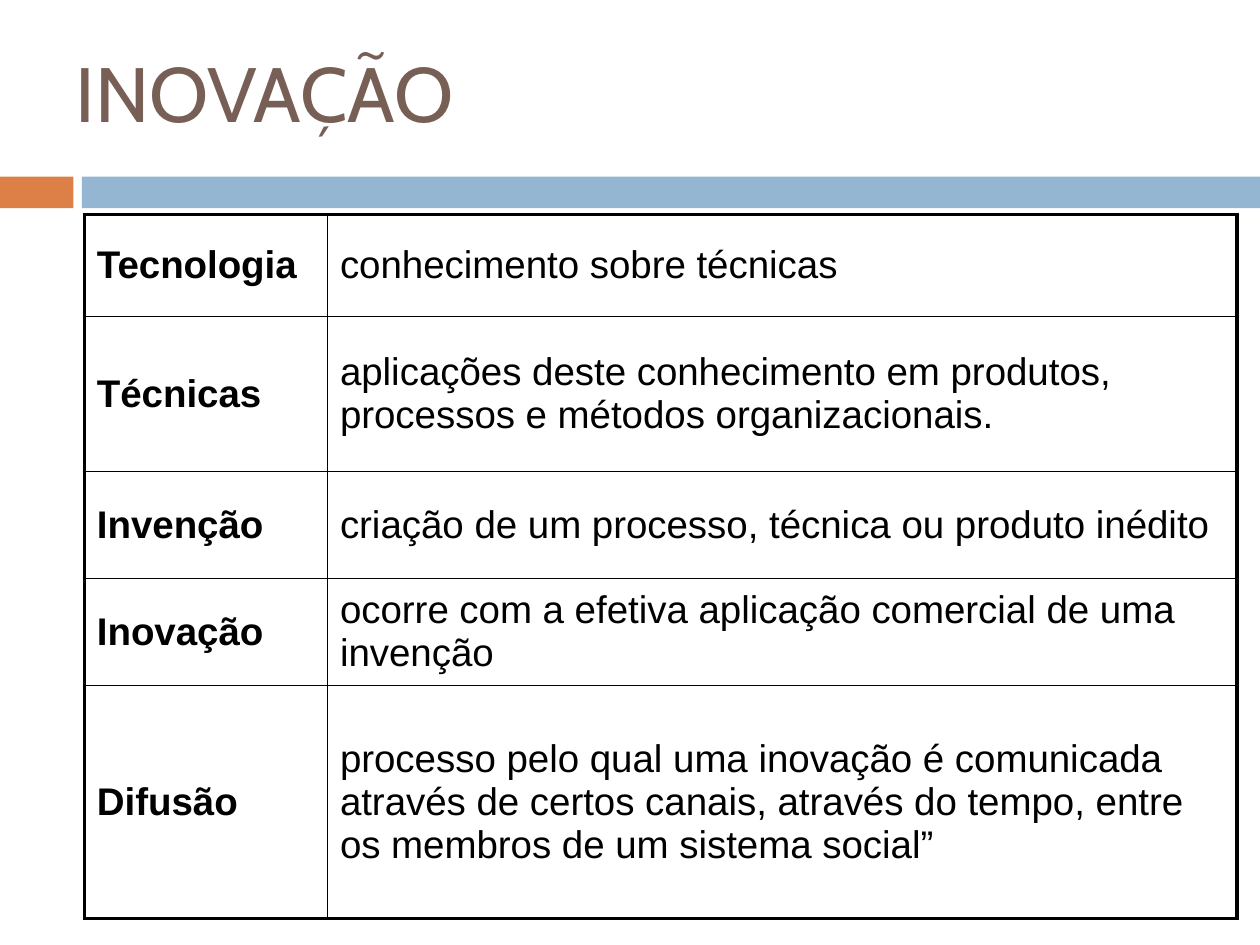
from lxml.etree import SubElement
from pptx import Presentation
from pptx.dml.color import RGBColor
from pptx.enum.shapes import MSO_SHAPE as Shape
from pptx.enum.text import MSO_ANCHOR as Anchor, PP_ALIGN as Align
from pptx.oxml.ns import qn
from pptx.util import Cm, Pt

COLORS = {"title": "775F55", "accent": "DD8047", "band": "94B6D2", "ink": "000000"}
THICK, THIN = 2.25, 1
COLUMN_WIDTHS = (4.9, 18.34)
DEFINITIONS = [  # term, meaning, row height in cm
    ("Tecnologia", "conhecimento sobre técnicas", 2.06),
    ("Técnicas", "aplicações deste conhecimento em produtos, "
                 "processos e métodos organizacionais.", 3.12),
    ("Invenção", "criação de um processo, técnica ou produto inédito", 2.16),
    ("Inovação", "ocorre com a efetiva aplicação comercial de uma invenção", 2.16),
    ("Difusão", "processo pelo qual uma inovação é comunicada através de certos "
                "canais, através do tempo, entre os membros de um sistema social”", 4.7),
]


def rgb(name):
    return RGBColor.from_string(COLORS[name])


def write(frame, text, *, font="Arial", size=22, color="ink", bold=False):
    frame.word_wrap = True
    frame.vertical_anchor = Anchor.MIDDLE
    paragraph = frame.paragraphs[0]
    paragraph.alignment = Align.LEFT
    run = paragraph.add_run()
    run.text = text
    run.font.name = font
    run.font.size = Pt(size)
    run.font.bold = bold
    run.font.color.rgb = rgb(color)


def add_bar(slide, left, width, color):
    bar = slide.shapes.add_shape(Shape.RECTANGLE, Cm(left), Cm(3.56), Cm(width), Cm(0.64))
    bar.shadow.inherit = False
    bar.fill.solid()
    bar.fill.fore_color.rgb = rgb(color)
    bar.line.fill.background()


def add_title(slide, text):
    title = slide.shapes.title
    title.left, title.top, title.width, title.height = Cm(1.27), Cm(0.76), Cm(22.86), Cm(2.18)
    write(title.text_frame, text, font="Cabin", size=44, color="title")


def set_borders(cell, **widths):
    # Borders must come before the fill in the cell properties
    properties = cell._tc.get_or_add_tcPr()
    for side, width in widths.items():
        line = SubElement(properties, qn(f"a:ln{side}"), w=str(Pt(width)))
        fill = SubElement(line, qn("a:solidFill"))
        SubElement(fill, qn("a:srgbClr"), val=COLORS["ink"])


def add_definitions(slide):
    rows, columns = len(DEFINITIONS), len(COLUMN_WIDTHS)
    height = sum(row_height for _, _, row_height in DEFINITIONS)
    table = slide.shapes.add_table(rows, columns, Cm(1.7), Cm(4.32),
                                   Cm(sum(COLUMN_WIDTHS)), Cm(height)).table
    table.first_row = table.horz_banding = False
    for column, width in zip(table.columns, COLUMN_WIDTHS):
        column.width = Cm(width)
    for r, (*texts, row_height) in enumerate(DEFINITIONS):
        table.rows[r].height = Cm(row_height)
        for c, text in enumerate(texts):
            cell = table.cell(r, c)
            # Thick outer frame, thin inner rules
            set_borders(cell,
                        L=THICK if c == 0 else THIN,
                        R=THICK if c == columns - 1 else THIN,
                        T=THICK if r == 0 else THIN,
                        B=THICK if r == rows - 1 else THIN)
            cell.fill.background()
            cell.vertical_anchor = Anchor.MIDDLE
            write(cell.text_frame, text, bold=c == 0)


def main():
    deck = Presentation()
    deck.slide_width, deck.slide_height = Cm(25.4), Cm(19.05)
    slide = deck.slides.add_slide(deck.slide_layouts[5])

    # Header
    add_bar(slide, 0, 1.48, "accent")
    add_bar(slide, 1.65, 23.75, "band")
    add_title(slide, "INOVAÇÃO")

    # Terms and meanings
    add_definitions(slide)
    deck.save("out.pptx")


if __name__ == "__main__":
    main()
